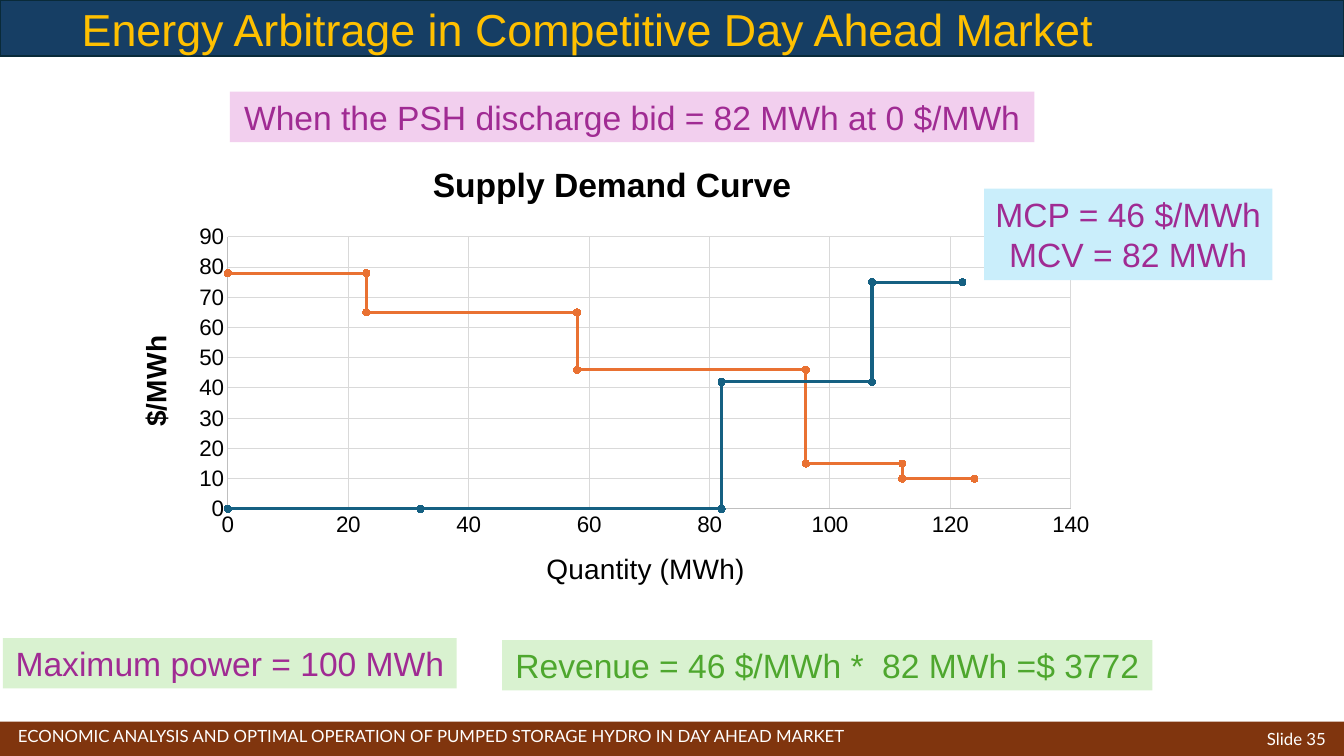
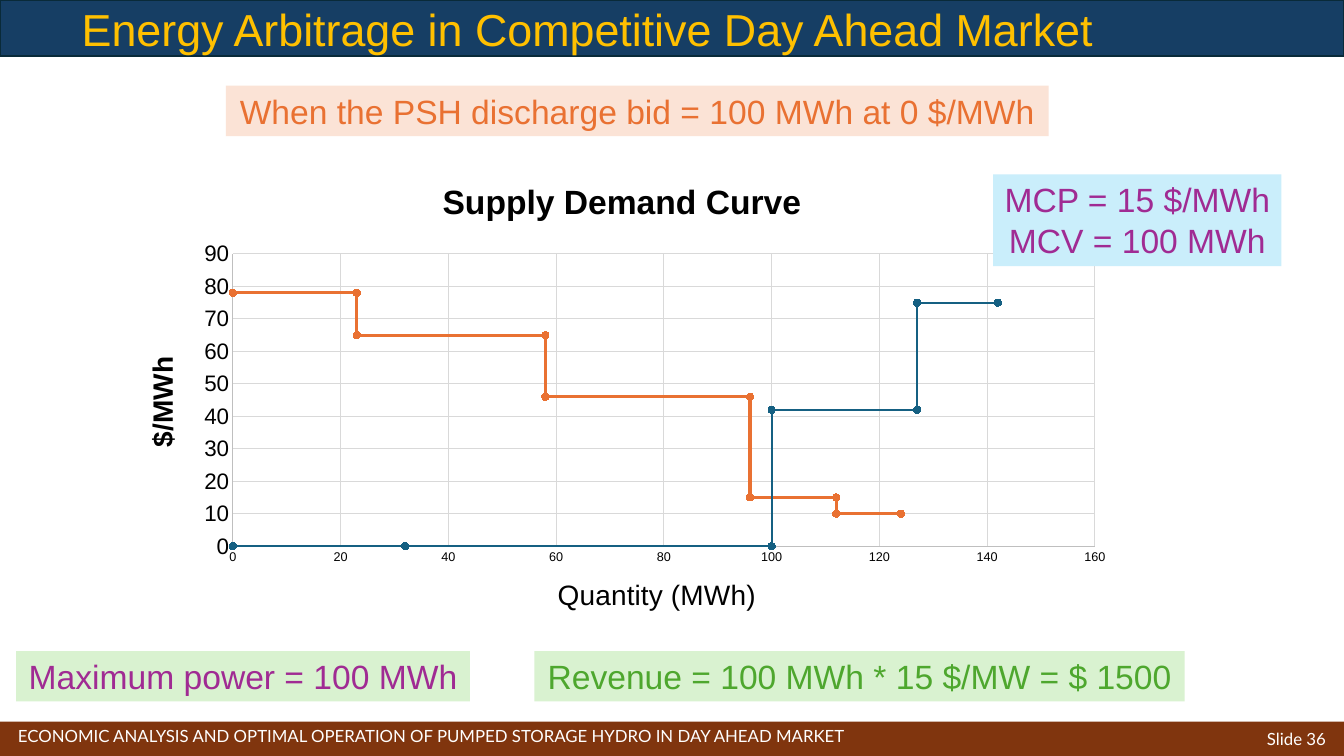
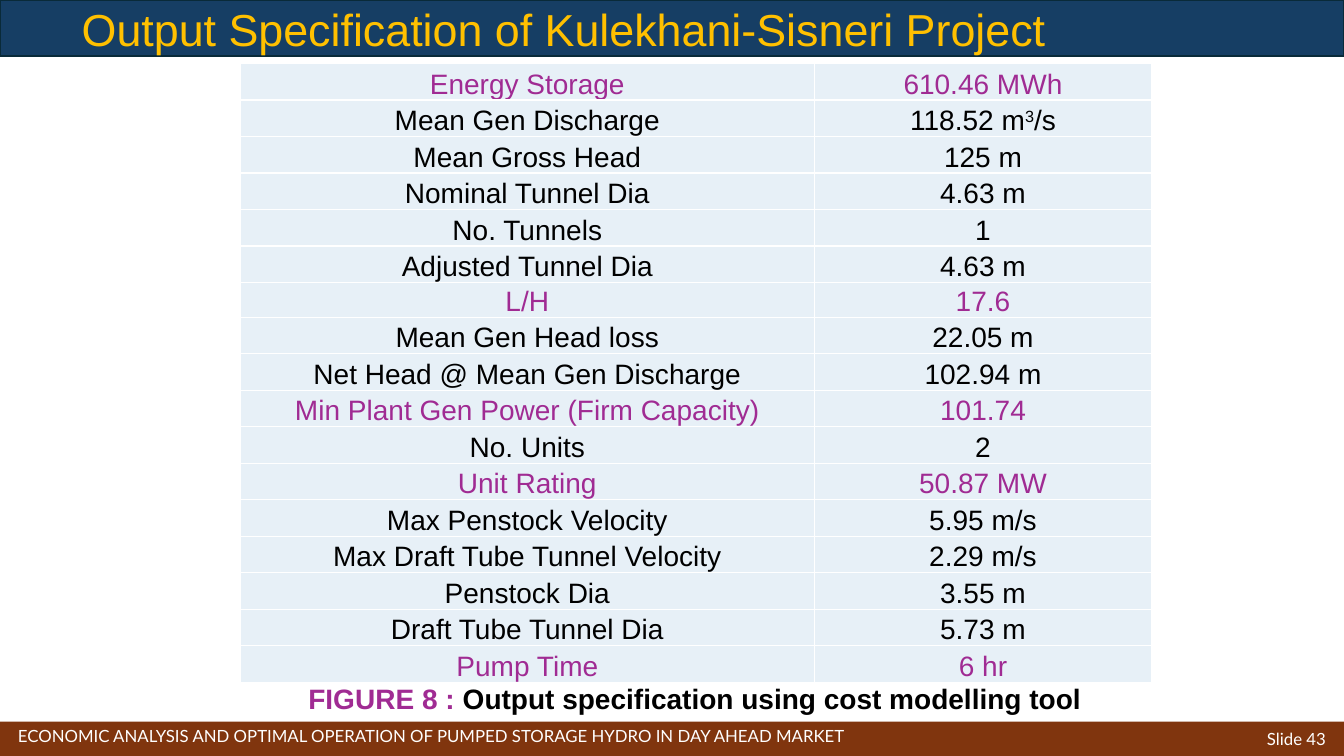
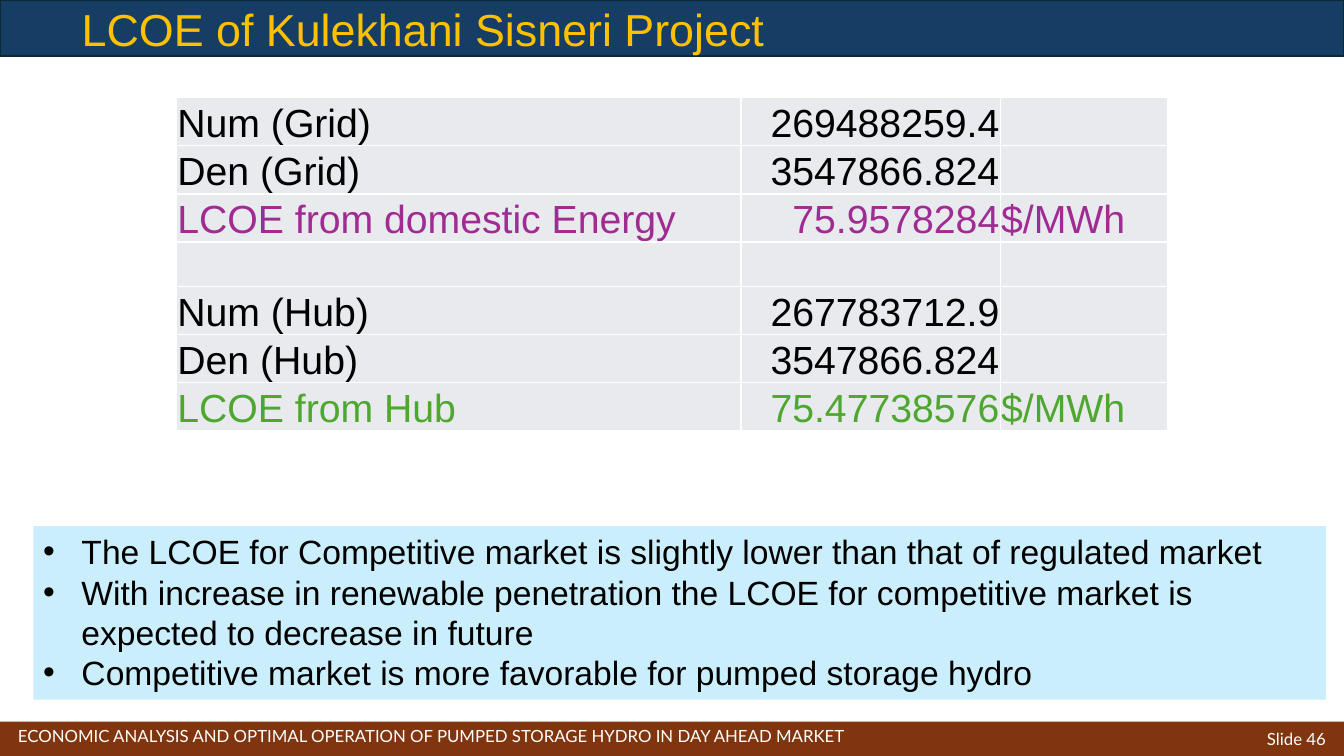
from dataclasses import dataclass

from lxml.etree import SubElement
from pptx import Presentation
from pptx.chart.data import XyChartData
from pptx.dml.color import RGBColor
from pptx.enum.chart import XL_CHART_TYPE, XL_MARKER_STYLE, XL_TICK_MARK
from pptx.enum.shapes import MSO_SHAPE
from pptx.enum.text import MSO_ANCHOR, MSO_AUTO_SIZE, PP_ALIGN
from pptx.oxml.ns import qn
from pptx.oxml.xmlchemy import OxmlElement
from pptx.util import Inches, Pt

NAVY = RGBColor(0x16, 0x3E, 0x64)
NAVY_EDGE = RGBColor(0x09, 0x2A, 0x39)
BROWN = RGBColor(0x80, 0x35, 0x0E)
GOLD = RGBColor(0xFF, 0xC0, 0x00)
WHITE = RGBColor(0xFF, 0xFF, 0xFF)
BLACK = RGBColor(0x00, 0x00, 0x00)
PURPLE = RGBColor(0xA0, 0x2B, 0x93)
GREEN = RGBColor(0x4E, 0xA7, 0x2E)
ORANGE = RGBColor(0xE9, 0x71, 0x32)
TEAL = RGBColor(0x15, 0x60, 0x82)
PALE_PINK = RGBColor(0xF2, 0xCF, 0xEE)
PALE_ORANGE = RGBColor(0xFB, 0xE3, 0xD6)
PALE_GREEN = RGBColor(0xD9, 0xF2, 0xD0)
PALE_BLUE = RGBColor(0xCA, 0xEE, 0xFB)
TABLE_BLUE = RGBColor(0xE7, 0xF0, 0xF7)
TABLE_GREY = RGBColor(0xE8, 0xEA, 0xED)
AXIS_GREY = RGBColor(0xBF, 0xBF, 0xBF)
GRID_GREY = RGBColor(0xD9, 0xD9, 0xD9)

BODY_FONT = "Arial"
FOOTER_FONT = "Lato"
FOOTER = "ECONOMIC ANALYSIS AND OPTIMAL OPERATION OF PUMPED STORAGE HYDRO IN DAY AHEAD MARKET"
MARKET_TITLE = "Energy Arbitrage in Competitive Day Ahead Market"

SPECIFICATION = [
    ("Energy Storage", "610.46 MWh"),
    ("Mean Gen Discharge", "118.52 m^3^/s"),
    ("Mean Gross Head", "125 m"),
    ("Nominal Tunnel Dia", "4.63 m"),
    ("No. Tunnels", "1"),
    ("Adjusted Tunnel Dia", "4.63 m"),
    ("L/H", "17.6"),
    ("Mean Gen Head loss", "22.05 m"),
    ("Net Head @ Mean Gen Discharge", "102.94 m"),
    ("Min Plant Gen Power (Firm Capacity)", "101.74"),
    ("No. Units", "2"),
    ("Unit Rating", "50.87 MW"),
    ("Max Penstock Velocity", "5.95 m/s"),
    ("Max Draft Tube Tunnel Velocity", "2.29 m/s"),
    ("Penstock Dia", "3.55 m"),
    ("Draft Tube Tunnel Dia", "5.73 m"),
    ("Pump Time", "6 hr"),
]
KEY_SPECIFICATIONS = {
    name: PURPLE
    for name in ("Energy Storage", "L/H", "Min Plant Gen Power (Firm Capacity)",
                 "Unit Rating", "Pump Time")
}
LCOE = [
    ("Num (Grid)", "269488259.4", ""),
    ("Den (Grid)", "3547866.824", ""),
    ("LCOE from domestic Energy", "75.9578284", "$/MWh"),
    ("", "", ""),
    ("Num (Hub)", "267783712.9", ""),
    ("Den (Hub)", "3547866.824", ""),
    ("LCOE from Hub", "75.47738576", "$/MWh"),
]
LCOE_RESULTS = {"LCOE from domestic Energy": PURPLE, "LCOE from Hub": GREEN}
CONCLUSIONS = [
    "The LCOE for Competitive market is slightly lower than that of regulated market",
    "With increase in renewable penetration the LCOE for competitive market is expected to decrease in future",
    "Competitive market is more favorable for pumped storage hydro",
]

DEMAND_QUANTITIES = (0, 23, 23, 58, 58, 96, 96, 112, 112, 124)
DEMAND_PRICES = (78, 78, 65, 65, 46, 46, 15, 15, 10, 10)
SUPPLY_PRICES = (0, 0, 0, 0, 0, 42, 42, 75, 75, 75)


@dataclass
class Box:
    left: float
    top: float
    width: float
    height: float

    def inches(self):
        return [Inches(v) for v in (self.left, self.top, self.width, self.height)]


@dataclass
class Market:
    number: int
    bid: str
    bid_box: Box
    bid_color: RGBColor
    bid_fill: RGBColor
    clearing: list
    clearing_box: Box
    revenue: str
    revenue_box: Box
    power_box: Box
    chart_box: Box
    plot_area: Box
    supply_quantities: tuple
    quantity_max: int
    quantity_size: int
    supply_width: float


MARKETS = [
    Market(35, "When the PSH discharge bid = 82 MWh at 0 $/MWh",
           Box(2.28, 0.91, 7.98, 0.5), PURPLE, PALE_PINK,
           ["MCP = 46 $/MWh", "MCV = 82 MWh"], Box(9.76, 1.87, 2.86, 0.91),
           "Revenue = 46 $/MWh *  82 MWh =$ 3772", Box(4.98, 6.35, 6.45, 0.5),
           Box(0.03, 6.33, 4.5, 0.5), Box(1.12, 1.42, 9.88, 4.65),
           Box(1.14, 0.93, 8.36, 2.7),
           (0, 0, 32, 32, 82, 82, 107, 107, 122, 122), 140, 16, 2.25),
    Market(36, "When the PSH discharge bid = 100 MWh at 0 $/MWh",
           Box(2.24, 0.85, 8.16, 0.5), ORANGE, PALE_ORANGE,
           ["MCP = 15 $/MWh", "MCV = 100 MWh"], Box(9.85, 1.73, 2.86, 0.91),
           "Revenue = 100 MWh * 15 $/MW = $ 1500", Box(5.3, 6.46, 6.45, 0.5),
           Box(0.16, 6.46, 4.5, 0.5), Box(1.18, 1.58, 10, 4.76),
           Box(1.13, 0.94, 8.55, 2.9),
           (0, 0, 32, 32, 100, 100, 127, 127, 142, 142), 160, 9, 1.5),
]


def add_run(paragraph, text, size, color, bold=False, font=BODY_FONT):
    run = paragraph.add_run()
    run.text = text
    run.font.size = Pt(size)
    run.font.name = font
    run.font.bold = bold
    run.font.color.rgb = color
    return run


def add_panel(slide, box, fill):
    panel = slide.shapes.add_shape(MSO_SHAPE.RECTANGLE, *box.inches())
    panel.shadow.inherit = False
    panel.fill.solid()
    panel.fill.fore_color.rgb = fill
    panel.line.fill.background()
    return panel


def add_callout(slide, box, lines, color, fill):
    frame = add_panel(slide, box, fill).text_frame
    frame.word_wrap = False
    frame.auto_size = MSO_AUTO_SIZE.SHAPE_TO_FIT_TEXT
    frame.vertical_anchor = MSO_ANCHOR.TOP
    for index, line in enumerate(lines):
        paragraph = frame.add_paragraph() if index else frame.paragraphs[0]
        paragraph.alignment = PP_ALIGN.CENTER
        add_run(paragraph, line, 24, color)


def add_bullets(slide, box, lines):
    frame = add_panel(slide, box, PALE_BLUE).text_frame
    frame.word_wrap = True
    frame.vertical_anchor = MSO_ANCHOR.TOP
    for index, line in enumerate(lines):
        paragraph = frame.add_paragraph() if index else frame.paragraphs[0]
        paragraph.alignment = PP_ALIGN.LEFT
        properties = paragraph._p.get_or_add_pPr()
        properties.set("marL", str(Inches(0.38)))
        properties.set("indent", str(-Inches(0.38)))
        SubElement(properties, qn("a:buFont"), typeface=BODY_FONT)
        SubElement(properties, qn("a:buChar"), char="•")
        add_run(paragraph, line, 24, BLACK)


def add_text(slide, box, anchor=MSO_ANCHOR.TOP, alignment=PP_ALIGN.LEFT):
    frame = slide.shapes.add_textbox(*box.inches()).text_frame
    frame.word_wrap = True
    frame.vertical_anchor = anchor
    frame.paragraphs[0].alignment = alignment
    return frame.paragraphs[0]


def add_bands(slide):
    header = add_panel(slide, Box(0, 0, 13.33, 0.56), NAVY)
    header.line.color.rgb = NAVY_EDGE
    header.line.width = Pt(1.5)
    footer = add_panel(slide, Box(0, 7.16, 13.33, 0.34), BROWN)
    layout_tree = slide.slide_layout.shapes._spTree
    for index, band in enumerate((header, footer), start=2):
        layout_tree.insert(index, band._element)


def add_slide(deck, title_text, number):
    slide = deck.slides.add_slide(deck.slide_layouts[5])
    if len(deck.slides) == 1:
        add_bands(slide)
    title = slide.shapes.title
    title.left, title.top, title.width, title.height = Box(0.71, 0.07, 11.5, 0.49).inches()
    frame = title.text_frame
    frame.auto_size = MSO_AUTO_SIZE.NONE
    frame.vertical_anchor = MSO_ANCHOR.MIDDLE
    heading = frame.paragraphs[0]
    heading.alignment = PP_ALIGN.LEFT
    heading.line_spacing = 0.9
    add_run(heading, title_text, 32, GOLD)
    page = add_text(slide, Box(10.25, 7.13, 3, 0.4), MSO_ANCHOR.MIDDLE, PP_ALIGN.RIGHT)
    add_run(page, f"Slide {number}", 12, WHITE, font=FOOTER_FONT)
    subject = add_text(slide, Box(0.08, 7.1, 10, 0.4), MSO_ANCHOR.MIDDLE)
    add_run(subject, FOOTER, 12, WHITE, font=FOOTER_FONT)
    return slide


def set_layout(parent, index, values, inner=False):
    layout = parent.find(qn("c:layout"))
    if layout is None:
        layout = OxmlElement("c:layout")
        parent.insert(index, layout)
    manual = SubElement(layout, qn("c:manualLayout"))
    if inner:
        SubElement(manual, qn("c:layoutTarget"), val="inner")
    for mode in ("xMode", "yMode"):
        SubElement(manual, qn(f"c:{mode}"), val="edge")
    for key, value in zip("xywh", values):
        SubElement(manual, qn(f"c:{key}"), val=f"{value:.4f}")


def set_chart_title(title, text, size, bold, position):
    add_run(title.text_frame.paragraphs[0], text, size, BLACK, bold)
    set_layout(title._element, 1, position)


def style_axis(axis, maximum, step, size):
    axis.minimum_scale = 0
    axis.maximum_scale = maximum
    axis.major_unit = step
    axis.major_tick_mark = XL_TICK_MARK.NONE
    axis.minor_tick_mark = XL_TICK_MARK.NONE
    axis.has_major_gridlines = True
    for line, color in ((axis.format.line, AXIS_GREY),
                        (axis.major_gridlines.format.line, GRID_GREY)):
        line.color.rgb = color
        line.width = Pt(0.75)
    labels = axis.tick_labels
    labels.number_format = "General"
    labels.number_format_is_linked = False
    labels.font.size = Pt(size)
    labels.font.name = BODY_FONT
    labels.font.color.rgb = BLACK


def add_supply_demand(slide, market):
    box, plot = market.chart_box, market.plot_area
    data = XyChartData()
    for name, quantities, prices in (
            ("Series 1", market.supply_quantities, SUPPLY_PRICES),
            ("Series 2", DEMAND_QUANTITIES, DEMAND_PRICES)):
        curve = data.add_series(name)
        for quantity, price in zip(quantities, prices):
            curve.add_data_point(quantity, price)
    chart = slide.shapes.add_chart(XL_CHART_TYPE.XY_SCATTER_LINES, *box.inches(), data).chart
    chart.has_legend = False
    chart.font.name = BODY_FONT
    chart.font.size = Pt(10)
    chart.font.color.rgb = BLACK
    chart.plots[0].vary_by_categories = False
    chart.has_title = True
    set_chart_title(chart.chart_title, "Supply Demand Curve", 24, True, (0.315, 0.03))
    quantity_axis, price_axis = chart.category_axis, chart.value_axis
    style_axis(quantity_axis, market.quantity_max, 20, market.quantity_size)
    style_axis(price_axis, 90, 10, 16)
    set_chart_title(quantity_axis.axis_title, "Quantity (MWh)", 20, False, (0.43, 0.86))
    set_chart_title(price_axis.axis_title, "$/MWh", 20, True, (0.02, 0.4))
    price_body = price_axis.axis_title.text_frame._txBody.find(qn("a:bodyPr"))
    price_body.set("rot", "-5400000")
    price_body.set("vert", "horz")
    set_layout(chart._chartSpace.chart.plotArea, 0,
               (plot.left / box.width, plot.top / box.height,
                plot.width / box.width, plot.height / box.height), inner=True)
    for curve, color, weight in zip(chart.plots[0].series, (TEAL, ORANGE),
                                    (market.supply_width, 2.25)):
        curve.format.line.color.rgb = color
        curve.format.line.width = Pt(weight)
        curve.marker.style = XL_MARKER_STYLE.CIRCLE
        curve.marker.size = 5
        curve.marker.format.fill.solid()
        curve.marker.format.fill.fore_color.rgb = color
        curve.marker.format.line.color.rgb = color


def style_cell(cell, fill):
    cell.margin_left = cell.margin_right = cell.margin_top = Inches(0.01)
    cell.margin_bottom = 0
    cell.vertical_anchor = MSO_ANCHOR.BOTTOM
    cell.fill.solid()
    cell.fill.fore_color.rgb = fill


def add_data_table(slide, box, records, widths, alignments, size, fill, highlights):
    table = slide.shapes.add_table(len(records), len(widths), *box.inches()).table
    table.first_row = table.horz_banding = False
    for column, width in zip(table.columns, widths):
        column.width = Inches(width)
    for row, record in zip(table.rows, records):
        color = highlights.get(record[0], BLACK)
        for cell, text, alignment in zip(row.cells, record, alignments):
            style_cell(cell, fill)
            paragraph = cell.text_frame.paragraphs[0]
            paragraph.alignment = alignment
            if not text:
                continue
            for index, part in enumerate(text.split("^")):
                run = add_run(paragraph, part, size, color)
                if index % 2:
                    run.font._element.set("baseline", "30000")
    return table


def build_market(deck, market):
    slide = add_slide(deck, MARKET_TITLE, market.number)
    add_supply_demand(slide, market)
    add_callout(slide, market.bid_box, [market.bid], market.bid_color, market.bid_fill)
    add_callout(slide, market.revenue_box, [market.revenue], GREEN, PALE_GREEN)
    add_callout(slide, market.clearing_box, market.clearing, PURPLE, PALE_BLUE)
    add_callout(slide, market.power_box, ["Maximum power = 100 MWh"], PURPLE, PALE_GREEN)


def build_specification(deck):
    slide = add_slide(deck, "Output Specification of Kulekhani-Sisneri Project", 43)
    box = Box(2.38, 0.63, 9.04, 6.12)
    table = add_data_table(slide, box, SPECIFICATION, (5.7, 3.34), [PP_ALIGN.CENTER] * 2,
                           20, TABLE_BLUE, KEY_SPECIFICATIONS)
    short_row = 0.32
    full_row = (box.height - short_row) / (len(SPECIFICATION) - 1)
    for row, (name, _) in zip(table.rows, SPECIFICATION):
        row.height = Inches(short_row if name == "L/H" else full_row)
    caption = add_text(slide, Box(2.96, 6.71, 7.89, 0.44))
    add_run(caption, "FIGURE 8 : ", 20, PURPLE, True)
    add_run(caption, "Output specification using cost modelling tool", 20, BLACK, True)


def build_lcoe(deck):
    slide = add_slide(deck, "LCOE of Kulekhani Sisneri Project", 46)
    add_data_table(slide, Box(1.75, 0.97, 9.83, 3.09), LCOE, (5.6, 2.57, 1.66),
                   (PP_ALIGN.LEFT, PP_ALIGN.RIGHT, PP_ALIGN.LEFT),
                   28, TABLE_GREY, LCOE_RESULTS)
    add_bullets(slide, Box(0.33, 5.22, 12.82, 1.72), CONCLUSIONS)


def main():
    deck = Presentation()
    deck.slide_width = Inches(13.33)
    deck.slide_height = Inches(7.5)
    for market in MARKETS:
        build_market(deck, market)
    build_specification(deck)
    build_lcoe(deck)
    deck.save("out.pptx")


if __name__ == "__main__":
    main()
